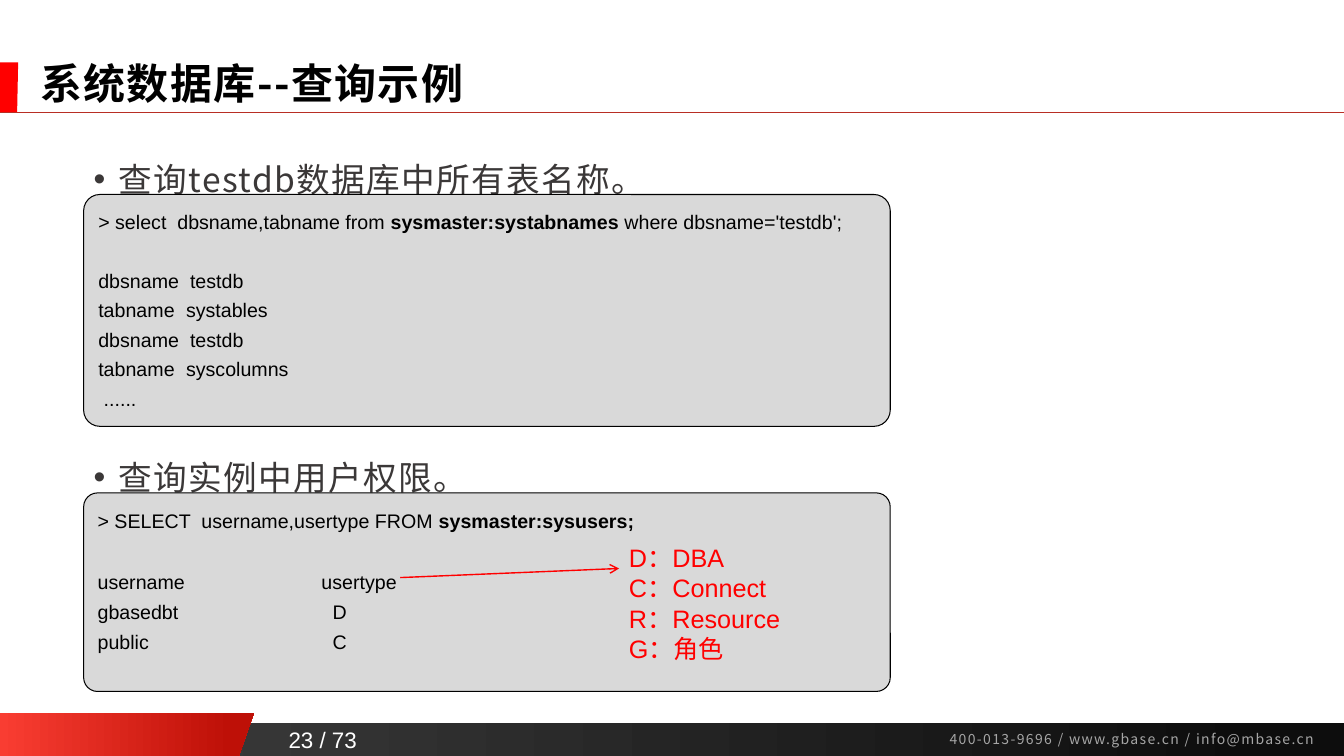
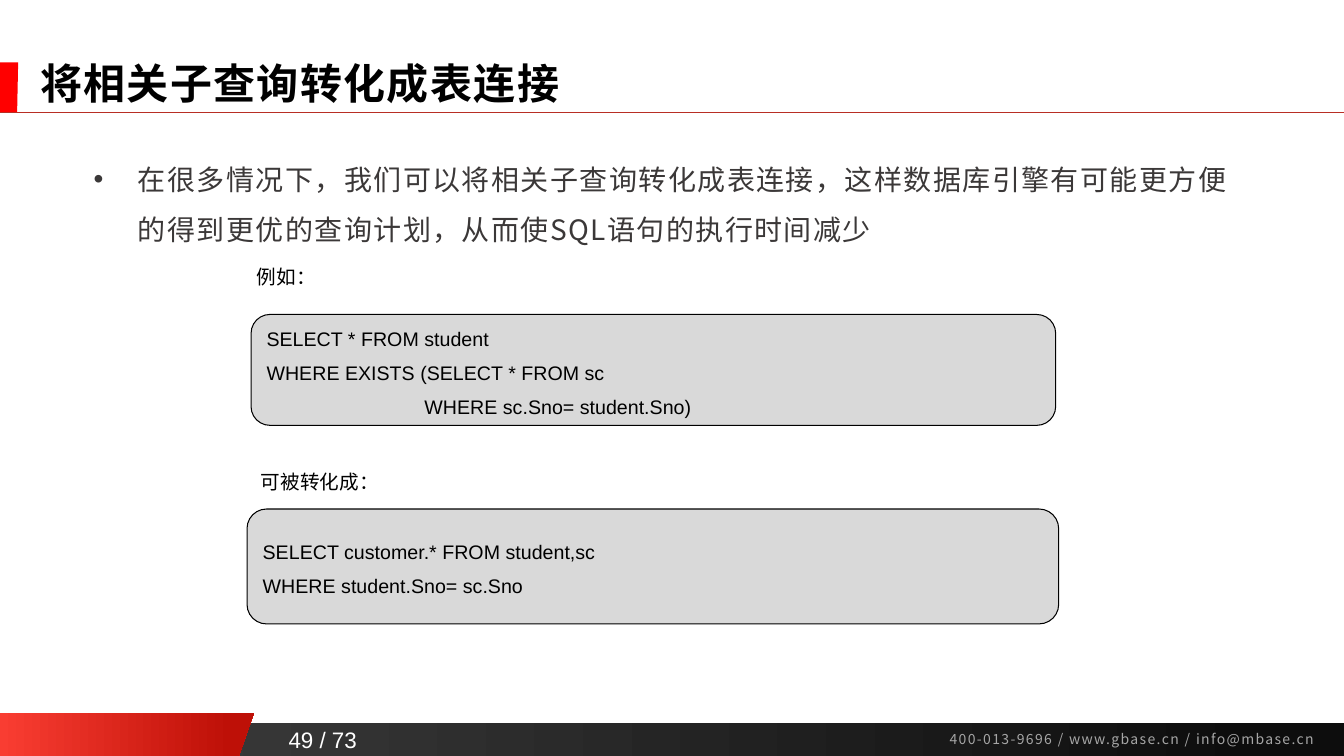
import itertools

import lxml.etree
import pptx
import pptx.dml.color
import pptx.enum.shapes
import pptx.enum.text
import pptx.oxml.ns
import pptx.util

Inches = pptx.util.Inches
Pt = pptx.util.Pt
ANCHOR = pptx.enum.text.MSO_ANCHOR
ALIGN = pptx.enum.text.PP_ALIGN

LATIN, CJK = "Arial", "Noto Sans CJK SC"
BLACK, WHITE, RED = "000000", "FFFFFF", "FF0000"
BODY_GREY, FOOTER_GREY, CODE_GREY, RULE_RED = "3B3838", "A6A6A6", "D9D9D9", "B82E24"
BAND_GRADIENT = [(0, "404040"), (0.94, "0D0D0D")]
CORNER_GRADIENT = [(0, "F93D32"), (0.91, "BE1007")]
PAGE_COUNT = 73
CODE_LEFT, CODE_WIDTH = 0.83, 8


def rgb(color):
    return pptx.dml.color.RGBColor.from_string(color)


def add_xml(parent, tag, **attrs):
    child = lxml.etree.SubElement(parent, pptx.oxml.ns.qn(tag))
    for name, value in attrs.items():
        child.set(name, str(value))
    return child


def add_run(p, text, size, color, font=LATIN, bold=False, spacing=0):
    r = p.add_run()
    r.text = text
    r.font.size = Pt(size)
    r.font.bold = bold
    r.font.name = font
    r.font.color.rgb = rgb(color)
    rPr = r.font._element
    add_xml(rPr, "a:ea", typeface=CJK)
    if spacing:
        rPr.set("spc", str(spacing * 100))


def add_bullet(p, indent):
    pPr = p._p.get_or_add_pPr()
    pPr.set("marL", str(Inches(indent)))
    pPr.set("indent", str(-Inches(indent)))
    add_xml(pPr, "a:buFont", typeface=LATIN)
    add_xml(pPr, "a:buChar", char="•")


def add_tab_stop(p, position):
    tabs = add_xml(p._p.get_or_add_pPr(), "a:tabLst")
    add_xml(tabs, "a:tab", pos=Inches(position), algn="l")


def write_lines(tf, lines, size, color, line_spacing=None, gaps=(), tabs=(), **font):
    """Write one paragraph a line; in a line given as a list, every second part is bold."""
    for i, (line, gap, tab) in enumerate(itertools.zip_longest(lines, gaps, tabs)):
        p = tf.paragraphs[0] if i == 0 else tf.add_paragraph()
        if tab:
            add_tab_stop(p, tab)
        if line_spacing:
            p.line_spacing = line_spacing
        if gap:
            p.space_before = Pt(gap)
        if isinstance(line, str):
            add_run(p, line, size, color, **font)
        else:
            for part, text in enumerate(line):
                add_run(p, text, size, color, bold=part % 2 == 1, **font)


def add_text(slide, box, lines, size, color, anchor=ANCHOR.TOP, wrap=True, **style):
    tf = slide.shapes.add_textbox(*map(Inches, box)).text_frame
    tf.word_wrap = wrap
    tf.vertical_anchor = anchor
    write_lines(tf, lines, size, color, **style)
    return tf


def add_bullet_text(slide, top, text, size, indent, line_spacing):
    tf = add_text(slide, (0.83, top, 11.72, 0.7), [], size, BODY_GREY)
    p = tf.paragraphs[0]
    add_bullet(p, indent)
    p.line_spacing = Pt(line_spacing)
    add_run(p, text, size, BODY_GREY, CJK, spacing=1)


def add_label(slide, left, top, width, text):
    add_text(slide, (left, top, width, 0.34), [text], 14, BLACK,
             wrap=False, line_spacing=Pt(17))


def add_code_box(slide, box, corner, lines, anchor=ANCHOR.TOP, bottom=0.05, **style):
    sp = slide.shapes.add_shape(
        pptx.enum.shapes.MSO_SHAPE.ROUNDED_RECTANGLE, *map(Inches, box))
    sp.adjustments[0] = corner
    sp.shadow.inherit = False
    sp.fill.solid()
    sp.fill.fore_color.rgb = rgb(CODE_GREY)
    sp.line.color.rgb = rgb(BLACK)
    sp.line.width = Pt(0.75)
    tf = sp.text_frame
    tf.word_wrap = True
    tf.vertical_anchor = anchor
    tf.margin_bottom = Inches(bottom)
    write_lines(tf, lines, 14, BLACK, **style)
    for p in tf.paragraphs:
        p.alignment = ALIGN.LEFT


def add_line(slide, start, end, color, width, arrow=False):
    line = slide.shapes.add_connector(
        pptx.enum.shapes.MSO_CONNECTOR.STRAIGHT, *map(Inches, start + end))
    line.line.color.rgb = rgb(color)
    line.line.width = Pt(width)
    if arrow:
        add_xml(line.line._get_or_add_ln(), "a:tailEnd", type="arrow")
    add_xml(line._element.spPr, "a:effectLst")


def add_polygon(slide, points):
    first, *rest = [tuple(map(Inches, point)) for point in points]
    builder = slide.shapes.build_freeform(*first)
    builder.add_line_segments(rest, close=True)
    return builder.convert_to_shape()


def finish_flat(sp):
    sp.shadow.inherit = False
    sp.line.fill.background()


def fill_gradient(sp, stops):
    sp.fill.gradient()
    sp.fill.gradient_angle = 0
    for stop, (position, color) in zip(sp.fill.gradient_stops, stops):
        stop.position = position
        stop.color.rgb = rgb(color)


def add_slide(prs, title, page):
    """Add a slide with the shared title bar and footer."""
    slide = prs.slides.add_slide(prs.slide_layouts[6])
    band = slide.shapes.add_shape(
        pptx.enum.shapes.MSO_SHAPE.RECTANGLE,
        *map(Inches, (0, 7.17, 13.33, 0.33)))
    corner = add_polygon(slide, [(0, 7.07), (2.52, 7.07), (2.37, 7.5), (0, 7.5)])
    marker = add_polygon(slide, [(0, 0.62), (0.18, 0.62), (0.17, 1.12), (0, 1.12)])
    for sp in (band, corner, marker):
        finish_flat(sp)
    fill_gradient(band, BAND_GRADIENT)
    fill_gradient(corner, CORNER_GRADIENT)
    marker.fill.solid()
    marker.fill.fore_color.rgb = rgb(RED)

    number = add_text(slide, (2.74, 7.15, 0.92, 0.37), [f"{page} / {PAGE_COUNT}"],
                      16, WHITE, ANCHOR.MIDDLE, wrap=False)
    number.paragraphs[0].alignment = ALIGN.CENTER
    add_text(slide, (9.32, 7.2, 3.99, 0.27),
             ["400-013-9696 / www.gbase.cn / info@mbase.cn"],
             10, FOOTER_GREY, ANCHOR.MIDDLE, font=CJK, spacing=1)
    add_line(slide, (0, 1.11), (13.33, 1.11), RULE_RED, 0.5)
    add_text(slide, (0.3, 0.59, 12.26, 0.53), [title], 30, BLACK, ANCHOR.MIDDLE,
             line_spacing=0.9, font=CJK, bold=True, spacing=1)
    return slide


def build_query_examples(prs):
    slide = add_slide(prs, "系统数据库--查询示例", 23)
    for top, text in ((1.33, "查询testdb数据库中所有表名称。"),
                      (4.29, "查询实例中用户权限。")):
        add_bullet_text(slide, top, text, 24, 0.25, 42.8)

    add_code_box(slide, (CODE_LEFT, 1.93, CODE_WIDTH, 2.3), 0.07, [
        ["> select  dbsname,tabname from ", "sysmaster:systabnames",
         " where dbsname='testdb';"],
        "dbsname\ttestdb",
        "tabname\tsystables",
        "dbsname\ttestdb",
        "tabname\tsyscolumns",
        " ......",
    ], line_spacing=Pt(21), gaps=(0, 21), tabs=(0, 0.91, 0.87, 0.91, 0.87))

    add_code_box(slide, (CODE_LEFT, 4.89, CODE_WIDTH, 1.97), 0.07, [
        ["> SELECT  username,usertype FROM ", "sysmaster:sysusers;"],
        "username\tusertype",
        "gbasedbt\tD",
        "public\tC",
    ], line_spacing=Pt(21.7), gaps=(0, 21.7), tabs=(0, 2.22, 2.33, 2.33))

    add_line(slide, (3.97, 5.73), (6.14, 5.64), RED, 1, arrow=True)
    add_text(slide, (6.14, 5.33, 2.43, 1.3),
             ["D：DBA", "C：Connect", "R：Resource", "G：角色"],
             18, RED, line_spacing=Pt(21.7))


def build_join_rewrite(prs):
    slide = add_slide(prs, "将相关子查询转化成表连接", 49)
    add_bullet_text(
        slide, 1.4,
        "在很多情况下，我们可以将相关子查询转化成表连接，这样数据库引擎有可能更方便"
        "的得到更优的查询计划，从而使SQL语句的执行时间减少",
        20, 0.44, 35.7)
    add_label(slide, 2.45, 2.58, 0.79, "例如：")
    add_label(slide, 2.49, 4.61, 1.38, "可被转化成：")
    queries = [
        ((2.49, 3.12, 7.98, 1.1), [
            "SELECT * FROM student",
            "WHERE EXISTS (SELECT * FROM sc",
            "                             WHERE sc.Sno= student.Sno)",
        ]),
        ((2.45, 5.05, 8.05, 1.14), [
            "SELECT customer.* FROM student,sc",
            "WHERE student.Sno= sc.Sno",
        ]),
    ]
    for box, lines in queries:
        add_code_box(slide, box, 0.17, lines, ANCHOR.MIDDLE, bottom=0,
                     gaps=[0] + [7.5] * (len(lines) - 1))


def main():
    prs = pptx.Presentation()
    prs.slide_width = Inches(13.33)
    prs.slide_height = Inches(7.5)
    build_query_examples(prs)
    build_join_rewrite(prs)
    prs.save("out.pptx")


if __name__ == "__main__":
    main()
